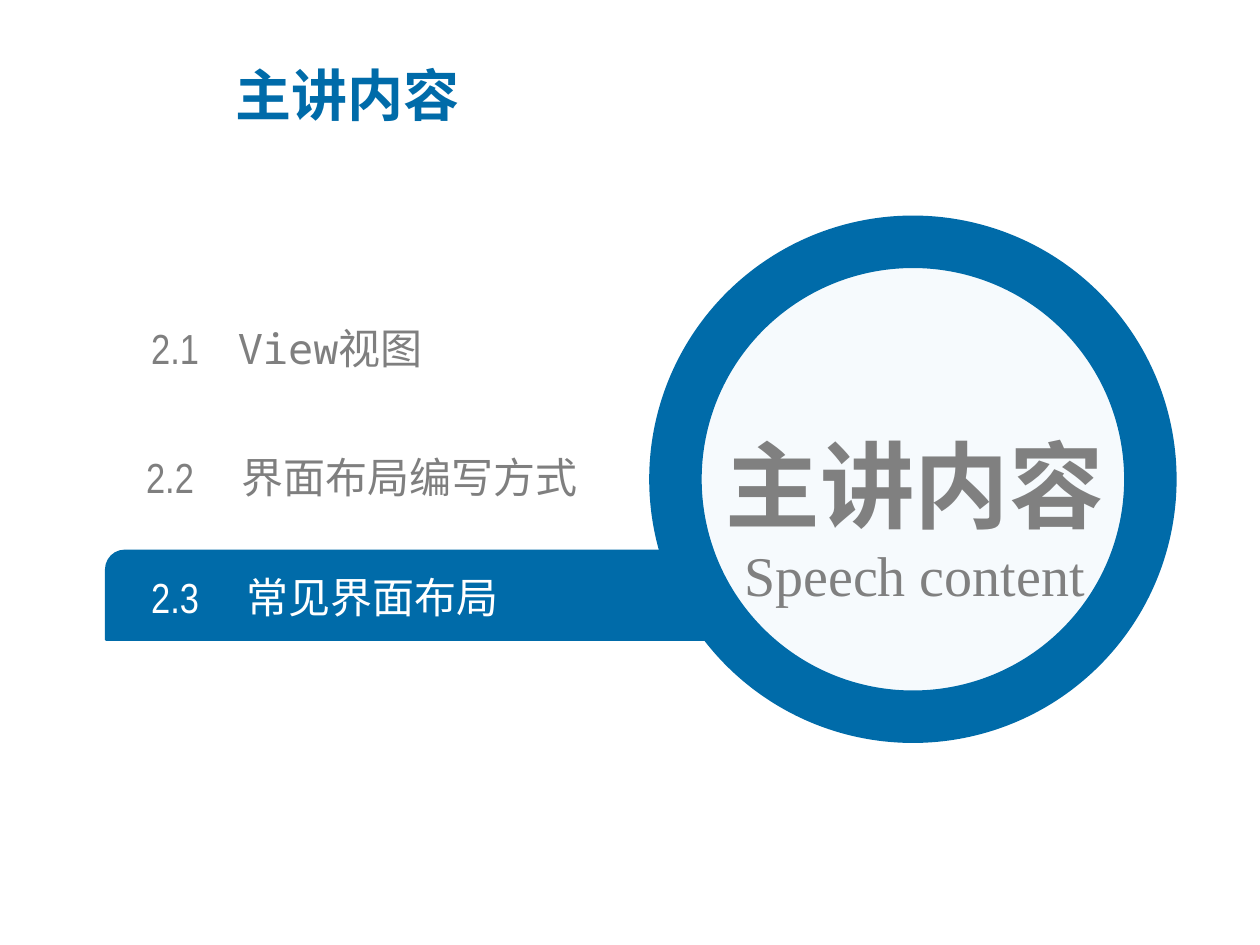
from pptx import Presentation
from pptx.dml.color import RGBColor
from pptx.enum.shapes import MSO_SHAPE as Kind
from pptx.enum.text import MSO_ANCHOR as Anchor, MSO_AUTO_SIZE as Fit, PP_ALIGN as Align
from pptx.oxml.ns import qn
from pptx.util import Pt
from lxml.etree import SubElement as add_sub

BLUE, GREY, DARK, WHITE, PALE = "006BA9", "7F7F7F", "808080", "FFFFFF", "F6FAFD"
NARROW, SANS, MONO, SERIF = "Arial Narrow", "Noto Sans CJK SC", "Noto Sans Mono", "Times New Roman"


def paint(target, color):
    target.rgb = RGBColor.from_string(color)


def write(para, text, font=SANS, size=24, color=GREY, bold=False):
    run = para.add_run()
    run.text = text
    run.font.name = font
    run.font.size = Pt(size)
    run.font.bold = bold
    paint(run.font.color, color)
    add_sub(run._r.get_or_add_rPr(), qn("a:ea")).set("typeface", SANS)


def add_form(slide, kind, box, fill, width):
    form = slide.shapes.add_shape(kind, *map(Pt, box))
    form.shadow.inherit = False
    form.fill.solid()
    paint(form.fill.fore_color, fill)
    paint(form.line.color, BLUE)
    form.line.width = Pt(width)
    return form


def add_box(slide, box, inset=None):
    frame = slide.shapes.add_textbox(*map(Pt, box)).text_frame
    frame.word_wrap = True
    frame.vertical_anchor = Anchor.MIDDLE
    if inset is not None:
        frame.margin_left = frame.margin_right = Pt(inset)
        frame.margin_top = frame.margin_bottom = Pt(inset)
    return frame


def set_tab(para, pos):
    tabs = add_sub(para._p.get_or_add_pPr(), qn("a:tabLst"))
    tab = add_sub(tabs, qn("a:tab"))
    tab.set("pos", str(Pt(pos)))
    tab.set("algn", "l")


def add_item(slide, left, top, tab, color, number, parts):
    para = add_box(slide, (left, top, 302, 29), 0).paragraphs[0]
    set_tab(para, tab)
    write(para, number + "\t", font=NARROW, color=color)
    for text, font in parts:
        write(para, text, font=font, color=color)


def add_title(slide, text):
    title = slide.shapes.title
    title.left, title.top, title.width, title.height = map(Pt, (127.5, 32, 389.5, 44))
    frame = title.text_frame
    frame.auto_size = Fit.NONE
    frame.vertical_anchor = Anchor.MIDDLE
    para = frame.paragraphs[0]
    para.alignment = Align.LEFT
    write(para, text, size=32, color=BLUE, bold=True)


def add_lens(slide):
    add_form(slide, Kind.OVAL, (386, 138.2, 271.4, 271.4), PALE, 30)
    frame = add_box(slide, (382.3, 207.4, 280.8, 144))
    head, sub = frame.paragraphs[0], frame.add_paragraph()
    head.alignment = sub.alignment = Align.CENTER
    head.line_spacing = 1.5
    write(head, "主讲内容", size=54, color=DARK, bold=True)
    write(sub, "Speech content", font=SERIF, size=32, color=DARK)


def main():
    deck = Presentation()
    deck.slide_width, deck.slide_height = Pt(720), Pt(540)
    slide = deck.slides.add_slide(deck.slide_layouts[5])
    add_title(slide, "主讲内容")
    bar = add_form(slide, Kind.ROUND_2_DIAG_RECTANGLE, (60.5, 314.6, 385.2, 51.1), BLUE, 1)
    bar.adjustments[0], bar.adjustments[1] = 0.21, 0
    items = [
        (86.4, 184.3, 49.5, GREY, "2.1", [("View", MONO), ("视图", NARROW)]),
        (83.5, 257.8, 54.5, GREY, "2.2", [("界面布局编写方式", NARROW)]),
        (86.4, 326.2, 54.5, WHITE, "2.3", [("常见界面布局", NARROW)]),
    ]
    for item in items:
        add_item(slide, *item)
    add_lens(slide)
    deck.save("out.pptx")


if __name__ == "__main__":
    main()
